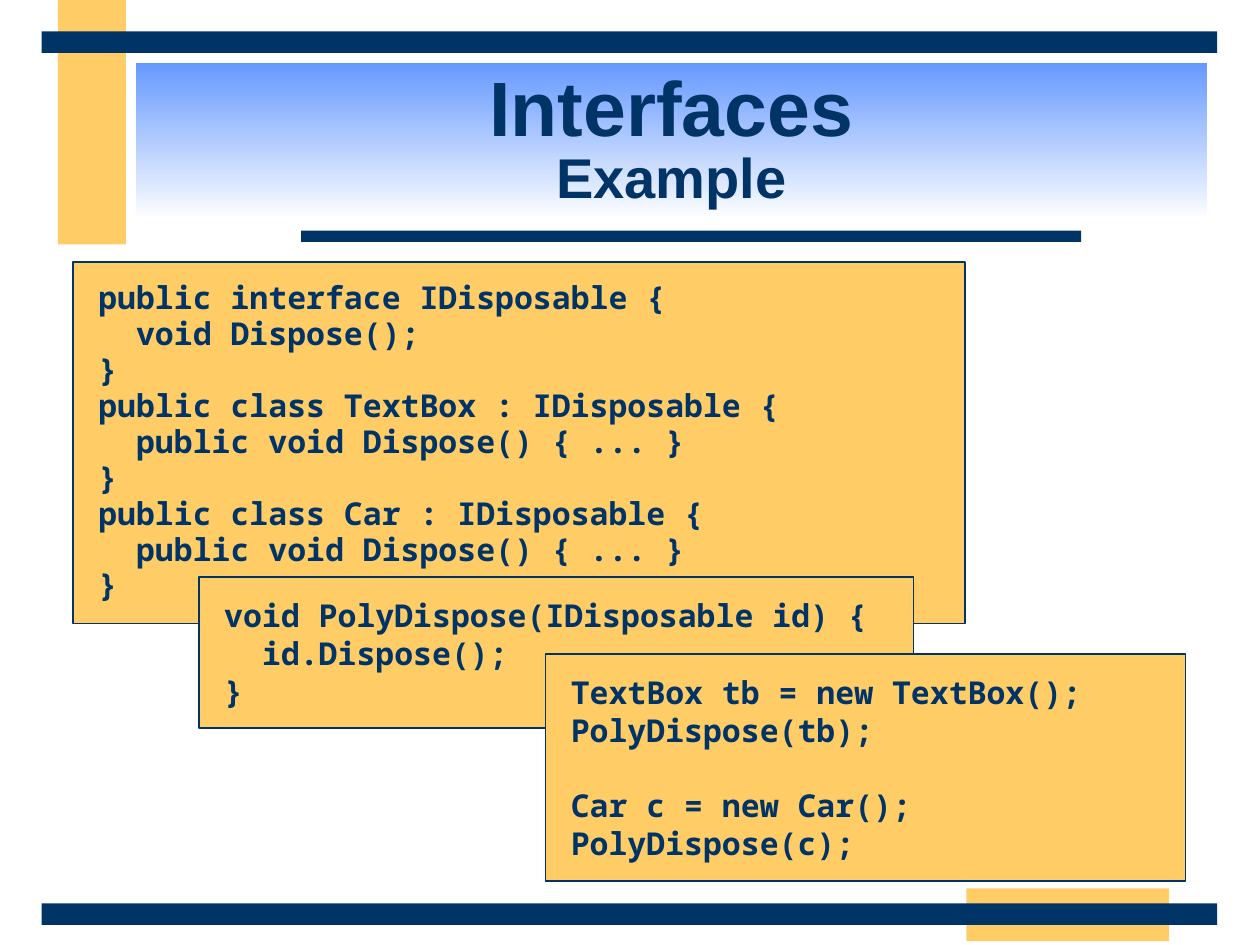
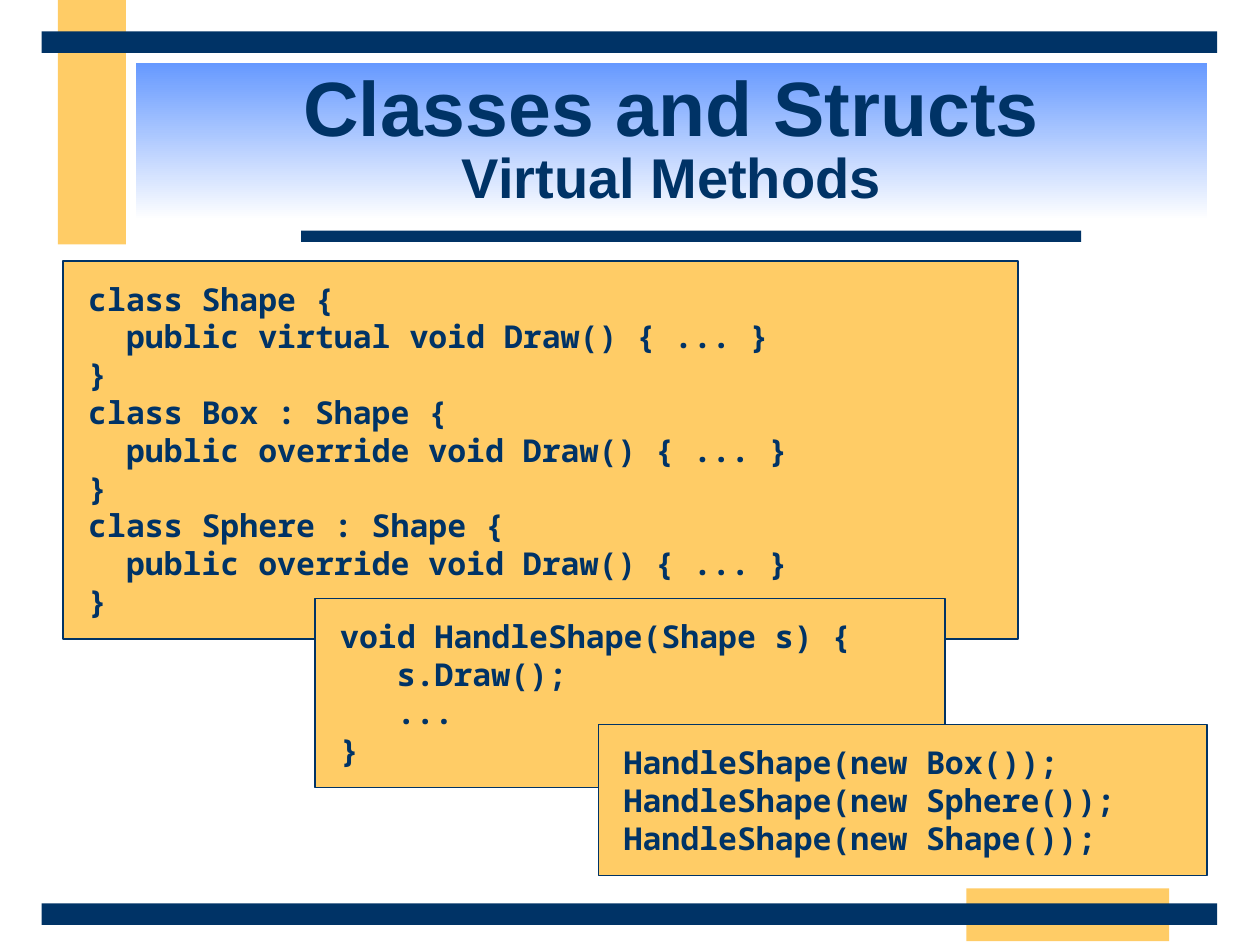
"""Build two code example slides that share bands and a title style."""
import pptx
import pptx.dml.color
import pptx.enum.shapes
import pptx.enum.text
import pptx.util

PX = 9144
CHARACTER_WIDTH = 15
CODE_LINE_HEIGHT = 30

NAVY = pptx.dml.color.RGBColor(0x00, 0x33, 0x66)
AMBER = pptx.dml.color.RGBColor(0xFF, 0xCC, 0x66)
SKY = pptx.dml.color.RGBColor(0x66, 0x99, 0xFF)
WHITE = pptx.dml.color.RGBColor(0xFF, 0xFF, 0xFF)

ALIGN = pptx.enum.text.PP_ALIGN
ANCHOR = pptx.enum.text.MSO_ANCHOR
AUTO_SIZE = pptx.enum.text.MSO_AUTO_SIZE
TITLE_ONLY = 5

BANDS = [
    ((46, 0, 54, 194), AMBER),
    ((767, 705, 161, 42), AMBER),
    ((239, 183, 619, 9), NAVY),
    ((33, 717, 933, 17), NAVY),
    ((33, 25, 933, 17), NAVY),
]
TITLE_PLACE = (108, 50, 850, 125)
TITLE_FRAME = {"vertical_anchor": ANCHOR.MIDDLE, "auto_size": AUTO_SIZE.NONE, "word_wrap": True}
TITLE_PARA = {"alignment": ALIGN.CENTER, "line_spacing": 0.85}
TITLE_FONT = {"name": "Arial", "bold": True}
CODE_FRAME = {
    "margin_left": 20 * PX, "margin_right": 20 * PX,
    "margin_top": 15 * PX, "margin_bottom": 15 * PX,
    "vertical_anchor": ANCHOR.TOP, "word_wrap": True,
    "auto_size": AUTO_SIZE.SHAPE_TO_FIT_TEXT,
}
CODE_FONT = {"name": "Noto Sans Mono", "size": pptx.util.Pt(18), "bold": True}

# Code lines are (indent in characters, text); None is an empty line.
PAGES = [
    ("Interfaces", "Example", [
        ((58, 208, 708, 287), 0.95, [
            (0, "public interface IDisposable {"),
            (2, "void Dispose();"),
            (0, "}"),
            (0, "public class TextBox : IDisposable {"),
            (2, "public void Dispose() { ... }"),
            (0, "}"),
            (0, "public class Car : IDisposable {"),
            (2, "public void Dispose() { ... }"),
            (0, "}"),
        ]),
        ((158, 458, 567, 120), 1.0, [
            (0, "void PolyDispose(IDisposable id) {"),
            (2, "id.Dispose();"),
            (0, "}"),
        ]),
        ((433, 519, 508, 180), 1.0, [
            (0, "TextBox tb = new TextBox();"),
            (0, "PolyDispose(tb);"),
            None,
            (0, "Car c = new Car();"),
            (0, "PolyDispose(c);"),
        ]),
    ]),
    ("Classes and Structs", "Virtual Methods", [
        ((50, 207, 758, 300), 1.0, [
            (0, "class Shape {"),
            (2, "public virtual void Draw() { ... }"),
            (0, "}"),
            (0, "class Box : Shape {"),
            (2, "public override void Draw() { ... }"),
            (0, "}"),
            (0, "class Sphere : Shape {"),
            (2, "public override void Draw() { ... }"),
            (0, "}"),
        ]),
        ((250, 475, 500, 150), 1.0, [
            (0, "void HandleShape(Shape s) {"),
            (3, "s.Draw();"),
            (3, "..."),
            (0, "}"),
        ]),
        ((475, 575, 483, 120), 1.0, [
            (0, "HandleShape(new Box());"),
            (0, "HandleShape(new Sphere());"),
            (0, "HandleShape(new Shape());"),
        ]),
    ]),
]


def apply_format(target, values):
    """Set each named attribute of the target."""
    for name, value in values.items():
        setattr(target, name, value)


def place_format(place):
    """Turn a px place into position and size attributes."""
    return dict(zip(("left", "top", "width", "height"), (px * PX for px in place)))


def add_span(para, text, font_format):
    """Add a navy run with the given font format."""
    span = para.add_run()
    span.text = text
    apply_format(span.font, font_format)
    span.font.color.rgb = NAVY


def add_box(page, place, color):
    """Add a flat filled rectangle without a line."""
    rectangle = pptx.enum.shapes.MSO_SHAPE.RECTANGLE
    box = page.shapes.add_shape(rectangle, *(px * PX for px in place))
    box.shadow.inherit = False
    box.fill.solid()
    box.fill.fore_color.rgb = color
    box.line.fill.background()
    return box


def move_bands_to_master(deck, page):
    """Draw the shared bands and move them behind everything on the master."""
    tree = deck.slide_master.shapes._spTree
    for number, (place, color) in enumerate(BANDS):
        band = add_box(page, place, color)
        band.name = f"Band {number + 1}"
        band._element.nvSpPr.cNvPr.set("id", str(100 + number))
        tree.insert(2 + number, band._element)


def set_title(page, heading, subheading):
    """Fill the title placeholder with two lines on a gradient."""
    title = page.shapes.title
    apply_format(title, place_format(TITLE_PLACE))
    title.fill.gradient()
    title.fill.gradient_angle = 270
    for stop, color in zip(title.fill.gradient_stops, (SKY, WHITE)):
        stop.color.rgb = color
    apply_format(title.text_frame, TITLE_FRAME)
    para = title.text_frame.paragraphs[0]
    apply_format(para, TITLE_PARA)
    add_span(para, heading, {**TITLE_FONT, "size": pptx.util.Pt(44)})
    para.add_line_break()
    add_span(para, subheading, {**TITLE_FONT, "size": pptx.util.Pt(32)})


def add_code_box(page, place, line_spacing, lines):
    """Add an outlined box with one paragraph for each code line."""
    box = add_box(page, place, AMBER)
    box.line.color.rgb = NAVY
    box.line.width = pptx.util.Pt(1)
    frame = box.text_frame
    apply_format(frame, CODE_FRAME)
    para, gap = frame.paragraphs[0], 0
    for number, line in enumerate(lines):
        if line is None:
            gap = CODE_LINE_HEIGHT * PX
            continue
        if number:
            para = frame.add_paragraph()
        indent, text = line
        apply_format(para, {"alignment": ALIGN.LEFT, "line_spacing": line_spacing,
                            "space_before": pptx.util.Emu(gap)})
        para._p.get_or_add_pPr().set("marL", str(indent * CHARACTER_WIDTH * PX))
        add_span(para, text, CODE_FONT)
        gap = 0


def main():
    """Build and save the deck."""
    deck = pptx.Presentation()
    apply_format(deck, {"slide_width": 1000 * PX, "slide_height": 750 * PX})
    for heading, subheading, code_boxes in PAGES:
        page = deck.slides.add_slide(deck.slide_layouts[TITLE_ONLY])
        set_title(page, heading, subheading)
        for place, line_spacing, lines in code_boxes:
            add_code_box(page, place, line_spacing, lines)
    move_bands_to_master(deck, deck.slides[0])
    deck.save("out.pptx")


if __name__ == "__main__":
    main()
